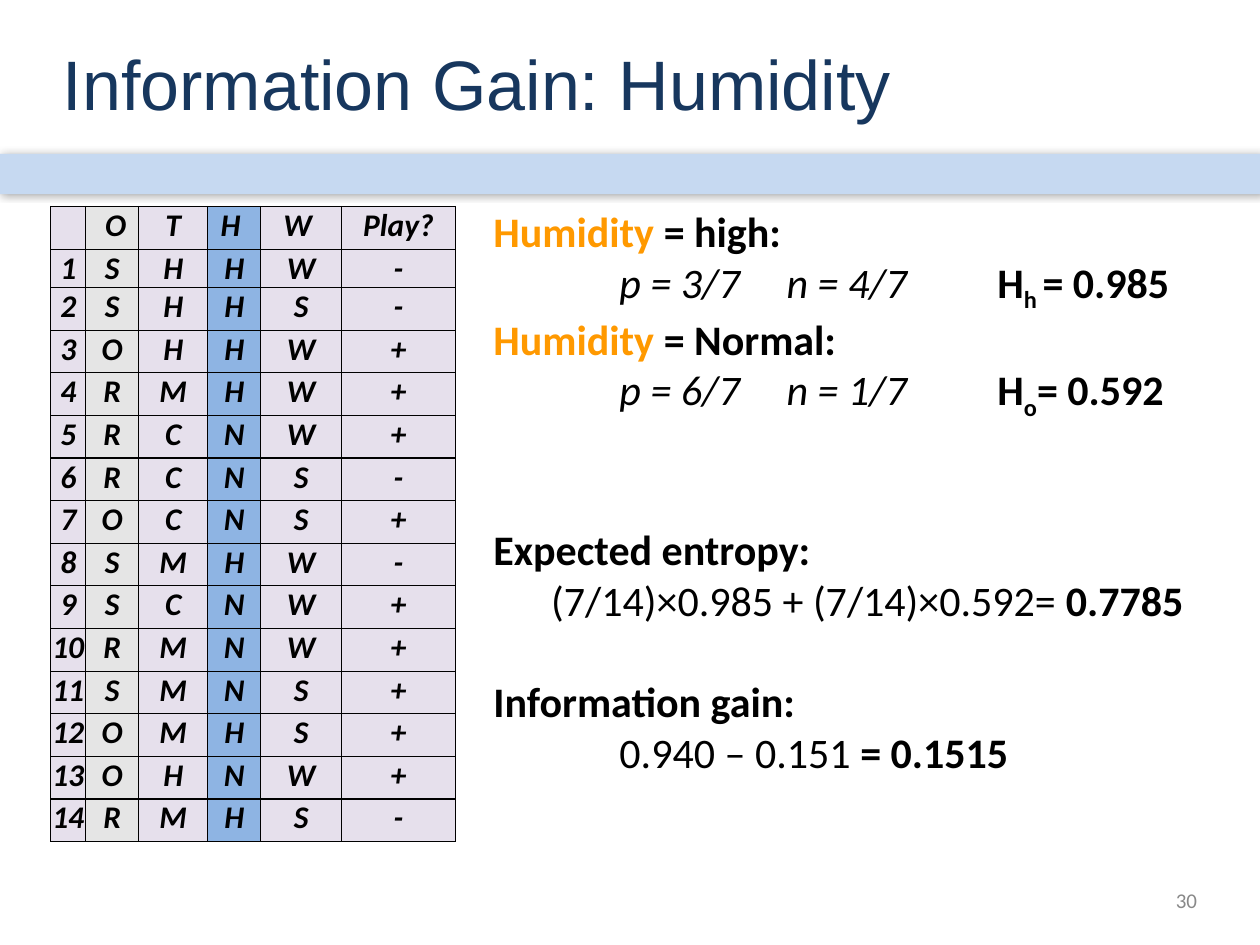
from lxml import etree
from pptx import Presentation
from pptx.dml.color import RGBColor
from pptx.enum.shapes import MSO_SHAPE
from pptx.enum.text import MSO_ANCHOR, PP_ALIGN
from pptx.oxml.ns import qn
from pptx.util import Pt

RECTANGLE = MSO_SHAPE.RECTANGLE
TOP, MIDDLE = MSO_ANCHOR.TOP, MSO_ANCHOR.MIDDLE
LEFT, CENTER, RIGHT = PP_ALIGN.LEFT, PP_ALIGN.CENTER, PP_ALIGN.RIGHT

NAVY = RGBColor(0x17, 0x37, 0x5E)
PALE_BLUE = RGBColor(0xC6, 0xD9, 0xF1)
BLUE = RGBColor(0x8E, 0xB4, 0xE3)
LILAC = RGBColor(0xE6, 0xE0, 0xEC)
LIGHT_GRAY = RGBColor(0xE5, 0xE5, 0xE5)
GRAY = RGBColor(0x89, 0x89, 0x89)
ORANGE = RGBColor(0xFF, 0x99, 0x00)
BLACK = RGBColor(0, 0, 0)


def add_text(paragraph, text, size=24, font="Calibri", color=BLACK,
             bold=False, italic=False, subscript=False, align=LEFT):
    paragraph.alignment = align
    run = paragraph.add_run()
    run.text = text
    run.font.size = Pt(size)
    run.font.name = font
    run.font.color.rgb = color
    run.font.bold = bold
    run.font.italic = italic
    if subscript:
        run.font._element.set("baseline", "-25000")


def add_box(left, top, width, height, anchor=TOP):
    box = slide.shapes.add_textbox(Pt(left), Pt(top), Pt(width), Pt(height))
    frame = box.text_frame
    frame.word_wrap = True
    frame.vertical_anchor = anchor
    frame.margin_left = frame.margin_right = 0
    frame.margin_top = frame.margin_bottom = 0
    return frame


presentation = Presentation()
presentation.slide_width = Pt(720)
presentation.slide_height = Pt(540)
slide = presentation.slides.add_slide(presentation.slide_layouts[6])

# Band under the title, with a soft shadow
band = slide.shapes.add_shape(RECTANGLE, 0, Pt(88), Pt(720), Pt(23))
band.fill.solid()
band.fill.fore_color.rgb = PALE_BLUE
band.line.fill.background()
band.shadow.inherit = False
effects = band._element.spPr.find(qn("a:effectLst"))
shadow = etree.SubElement(effects, qn("a:outerShdw"), blurRad=str(Pt(5)),
                          dist=str(Pt(1.6)), dir="0", rotWithShape="0")
shadow_color = etree.SubElement(shadow, qn("a:srgbClr"), val="000000")
etree.SubElement(shadow_color, qn("a:alpha"), val="38000")

# Title
title = add_box(36, 2, 648, 90, MIDDLE)
add_text(title.paragraphs[0], "Information Gain: Humidity",
         size=40, font="Arial", color=NAVY)

# Training examples: outlook, temperature, humidity, wind, play
header = ["", " O", "T", "H ", "W ", "Play?"]
examples = ["SHHW-", "SHHS-", "OHHW+", "RMHW+", "RCNW+", "RCNS-", "OCNS+",
            "SMHW-", "SCNW+", "RMNW+", "SMNS+", "OMHS+", "OHNW+", "RMHS-"]
rows = [header] + [[str(number), *example]
                   for number, example in enumerate(examples, 1)]
column_widths = [20, 30.25, 39.5, 30.25, 46.25, 65]
column_fills = [LILAC, LIGHT_GRAY, LILAC, BLUE, LILAC, LILAC]
row_heights = [24.36, 22] + [24.36] * 13

table = slide.shapes.add_table(len(rows), len(header), Pt(29), Pt(118),
                               Pt(sum(column_widths)), Pt(sum(row_heights))).table
table.first_row = table.horz_banding = False
for column, width in zip(table.columns, column_widths):
    column.width = Pt(width)
for row, height, texts in zip(table.rows, row_heights, rows):
    row.height = Pt(height)
    for cell, text, fill in zip(row.cells, texts, column_fills):
        cell.margin_left = cell.margin_right = 0
        cell.margin_top = cell.margin_bottom = 0
        if text:
            add_text(cell.text_frame.paragraphs[0], text, size=18,
                     bold=True, italic=True, align=CENTER)
        properties = cell._tc.get_or_add_tcPr()
        for side in ("lnL", "lnR", "lnT", "lnB"):
            border = etree.SubElement(properties, qn("a:" + side), w=str(Pt(0.75)))
            border_fill = etree.SubElement(border, qn("a:solidFill"))
            etree.SubElement(border_fill, qn("a:srgbClr"), val=str(BLACK))
        cell.fill.solid()
        cell.fill.fore_color.rgb = fill

# Entropy calculation: space before, tab stops, runs of each line
BOLD = {"bold": True}
ITALIC = {"italic": True}
SUBSCRIPT = {"bold": True, "subscript": True}
TOPIC = {"bold": True, "color": ORANGE}
ratio_tabs = [72, 167.5, 288]
lines = [
    (0, [], [("Humidity", TOPIC), (" = high:", BOLD)]),
    (0, ratio_tabs, [("\tp = 3/7\tn = 4/7\t", ITALIC), ("H", BOLD),
                     ("h ", SUBSCRIPT), ("= 0.985", BOLD)]),
    (0, [], [("Humidity", TOPIC), (" = Normal:", BOLD)]),
    (0, ratio_tabs, [("\tp = 6/7\tn = 1/7\t", ITALIC), ("H", BOLD),
                     ("o", SUBSCRIPT), ("= 0.592", BOLD)]),
    (58.6, [], [("Expected entropy:", BOLD)]),
    (0, [33], [("\t(7/14)×0.985 + (7/14)×0.592= ", {}), ("0.7785", BOLD)]),
    (29.3, [], [("Information gain:", BOLD)]),
    (0, [72], [("\t0.940 – 0.151 ", {}), ("= 0.1515", BOLD)]),
]
calculation = add_box(282, 117.5, 401, 373)
for index, (space, tabs, runs) in enumerate(lines):
    paragraph = calculation.add_paragraph() if index else calculation.paragraphs[0]
    paragraph.space_before = Pt(space)
    if tabs:
        tab_list = etree.SubElement(paragraph._p.get_or_add_pPr(), qn("a:tabLst"))
        for position in tabs:
            etree.SubElement(tab_list, qn("a:tab"), pos=str(Pt(position)), algn="l")
    for text, style in runs:
        add_text(paragraph, text, **style)

# Slide number
number_box = add_box(516, 504, 168, 21, MIDDLE)
add_text(number_box.paragraphs[0], "30", size=12, color=GRAY, align=RIGHT)

presentation.save("out.pptx")
